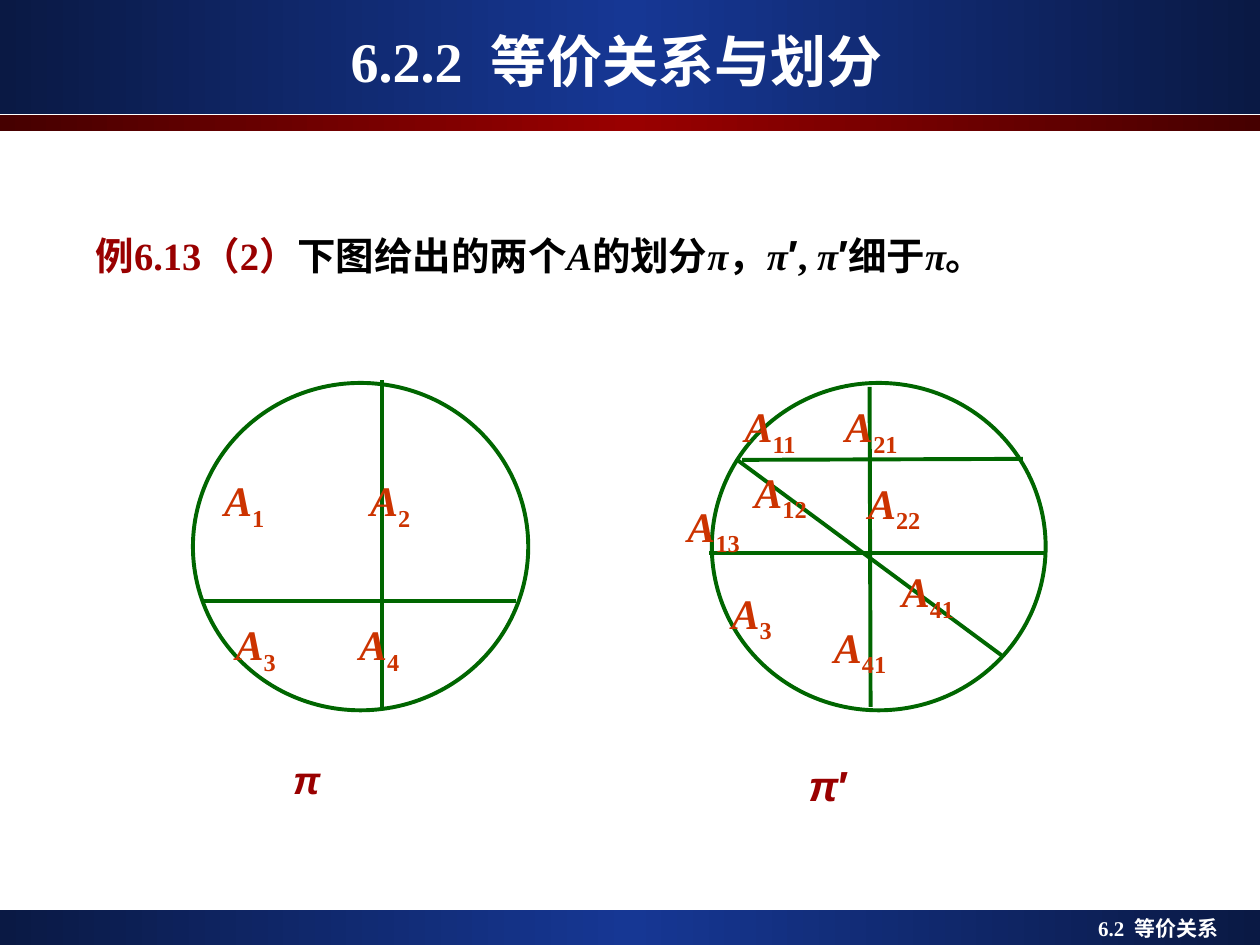
from copy import deepcopy

from lxml import etree
from pptx import Presentation
from pptx import util as u
from pptx.dml.color import RGBColor
from pptx.enum import shapes, text
from pptx.oxml.ns import qn

NAVY, BLUE = RGBColor(0x0A, 0x19, 0x44), RGBColor(0x16, 0x37, 0x94)
MAROON, RED = RGBColor(0x46, 0, 0), RGBColor(0x99, 0, 0)
GREEN, ORANGE = RGBColor(0, 0x66, 0), RGBColor(0xCC, 0x33, 0)
WHITE, BLACK = RGBColor(0xFF, 0xFF, 0xFF), RGBColor(0, 0, 0)
SERIF, SANS = "Times New Roman", "Arial"
W, H = 25.4, 19.05

# Content; all lengths in cm
BARS = [  # top, height, edge colour, middle colour
    (18.34, 0.71, NAVY, BLUE),
    (0, 2.31, NAVY, BLUE),
    (2.31, 0.33, MAROON, RED),
]
TITLE = "6.2.2  等价关系与划分"
FOOTER = "6.2  等价关系"
HEAD = "例6.13（2）"
SENTENCE = ["下图给出的两个", "A", "的划分", "π", "，", "π", "′", ", ",
            "π", "′", "细于", "π", "。"]
PARTITIONS = [
    {"circle": (3.89, 7.72, 6.76, 6.6),
     "cuts": [(4.06, 12.12, 10.41, 12.12), (7.7, 7.67, 7.7, 14.3)],
     "blocks": [("1", 4.27, 9.22), ("2", 7.21, 9.22),
                ("3", 4.5, 12.12), ("4", 6.99, 12.12)]},
    {"circle": (14.35, 7.72, 6.73, 6.6),
     "cuts": [(14.3, 11.15, 21.11, 11.15), (17.53, 7.8, 17.55, 14.25),
              (14.96, 9.27, 20.62, 9.25), (14.86, 9.27, 20.19, 13.21)],
     "blocks": [("11", 14.76, 7.72), ("12", 14.96, 9.04), ("13", 13.61, 9.73),
                ("21", 16.79, 7.72), ("22", 17.25, 9.27), ("41", 17.93, 11.05),
                ("41", 16.56, 12.17), ("3", 14.5, 11.48)]},
]
CAPTIONS = [  # symbols, size, box
    (["π", "′"], 24, (16.05, 14.99, 3.3, 1.47)),
    (["π"], 22, (5.66, 14.94, 2.97, 1.37)),
]


def cm(values):
    return [u.Cm(v) for v in values]


def add_text(parent, box, runs, align=text.PP_ALIGN.LEFT,
             anchor=text.MSO_ANCHOR.TOP, spacing=None, wrap=True):
    """Each run is (words, size, colour, font, italic, subscript)."""
    tf = parent.add_textbox(*cm(box)).text_frame
    tf.word_wrap = wrap
    tf.vertical_anchor = anchor
    p = tf.paragraphs[0]
    p.alignment = align
    p.line_spacing = spacing
    for words, size, colour, font, italic, subscript in runs:
        r = p.add_run()
        r.text = words
        r.font.size, r.font.name = u.Pt(size), font
        r.font.bold, r.font.italic = True, italic
        r.font.color.rgb = colour
        if subscript:
            r.font._element.set("baseline", "-25000")


def add_bar(s, top, height, edge, middle):
    sp = s.shapes.add_shape(shapes.MSO_SHAPE.RECTANGLE, *cm((0, top, W, height)))
    sp.shadow.inherit = False
    sp.line.fill.background()
    sp.fill.gradient()
    sp.fill.gradient_angle = 0
    first = sp.fill._xPr.find(".//" + qn("a:gs"))
    first.addnext(deepcopy(first))
    for stop, pos, colour in zip(sp.fill.gradient_stops, (0, 0.5, 1),
                                 (edge, middle, edge)):
        stop.position = pos
        stop.color.rgb = colour


def add_partition(s, circle, cuts, blocks):
    group = s.shapes.add_group_shape().shapes
    sp = group.add_shape(shapes.MSO_SHAPE.OVAL, *cm(circle))
    sp.shadow.inherit = False
    sp.fill.background()
    outlines = [sp]
    for cut in cuts:
        line = group.add_connector(shapes.MSO_CONNECTOR.STRAIGHT, *cm(cut))
        etree.SubElement(line._element.spPr, qn("a:effectLst"))
        outlines.append(line)
    for outline in outlines:
        outline.line.color.rgb = GREEN
        outline.line.width = u.Pt(2.25)
    for index, left, top in blocks:
        add_text(group, (left, top, 3.23 if len(index) == 1 else 3.45, 1.65),
                 [("A", 24, ORANGE, SERIF, True, False),
                  (index, 24, ORANGE, SERIF, False, True)], spacing=1.2)


def main():
    prs = Presentation()
    prs.slide_width, prs.slide_height = cm((W, H))
    s = prs.slides.add_slide(prs.slide_layouts[6])

    # Bands, title and footer
    for bar in BARS:
        add_bar(s, *bar)
    add_text(s.shapes, (0.69, 0.43, 23.5, 1.57),
             [(TITLE, 32, WHITE, SERIF, False, False)],
             text.PP_ALIGN.CENTER, text.MSO_ANCHOR.MIDDLE)
    add_text(s.shapes, (21.89, 18.34, 3.51, 0.76),
             [(FOOTER, 12, WHITE, SERIF, False, False)])

    # Example sentence: symbols italic, primes larger
    runs = [(HEAD, 22, RED, SERIF, False, False)]
    for words in SENTENCE:
        size, font = (24, SANS) if words == "′" else (22, SERIF)
        runs.append((words, size, BLACK, font, words in ("A", "π"), False))
    add_text(s.shapes, (1.68, 4.47, 20.83, 1.27), runs,
             anchor=text.MSO_ANCHOR.MIDDLE, wrap=False)

    # The two partitions and their captions
    for partition in PARTITIONS:
        add_partition(s, **partition)
    for symbols, size, box in CAPTIONS:
        add_text(s.shapes, box, [(c, size, RED, SANS, c == "π", False)
                                 for c in symbols], spacing=1.2)

    prs.save("out.pptx")


if __name__ == "__main__":
    main()
